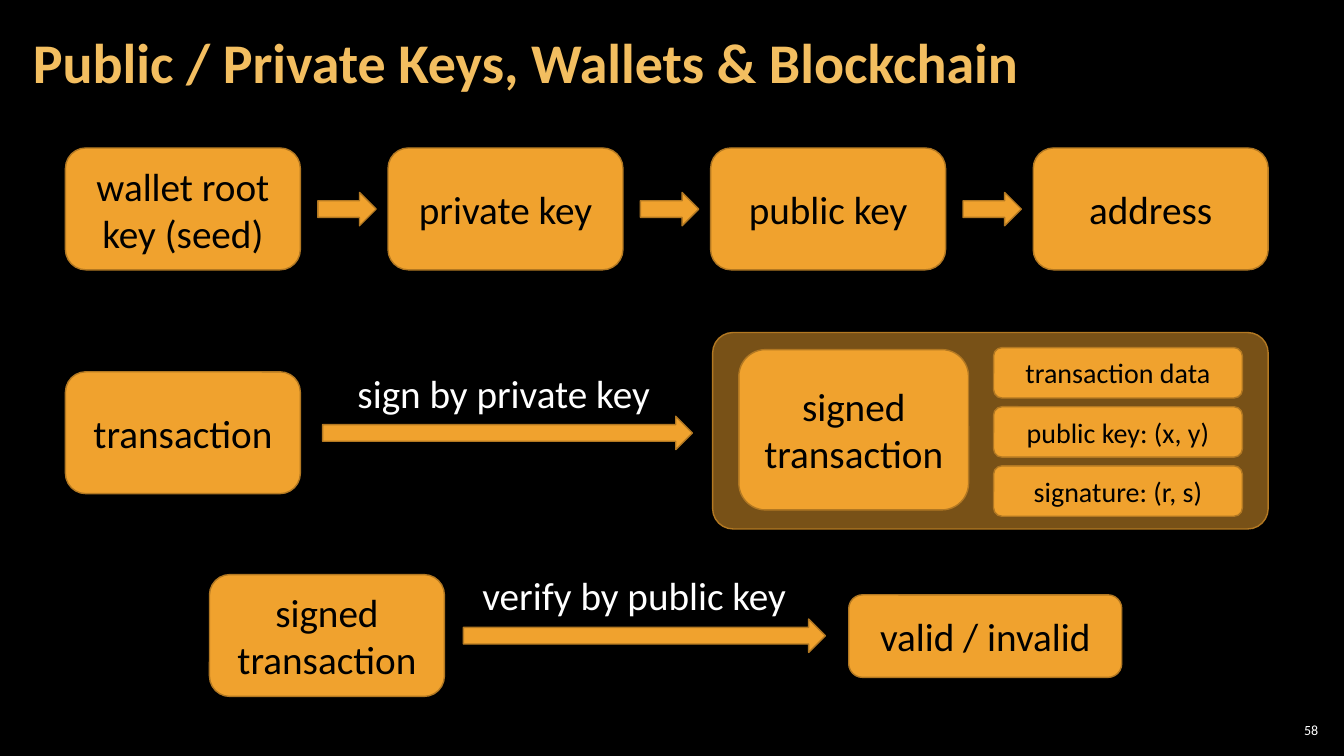
from dataclasses import dataclass

from lxml.etree import SubElement
from pptx import Presentation
from pptx.dml.color import RGBColor
from pptx.enum.shapes import MSO_SHAPE
from pptx.enum.text import MSO_ANCHOR, MSO_AUTO_SIZE, PP_ALIGN
from pptx.oxml.ns import qn
from pptx.util import Cm, Pt


@dataclass(frozen=True)
class Theme:
    font: str = "Calibri"
    background: RGBColor = RGBColor(0x00, 0x00, 0x00)
    title: RGBColor = RGBColor(0xF3, 0xBE, 0x60)
    fill: RGBColor = RGBColor(0xF0, 0xA2, 0x2E)
    outline: RGBColor = RGBColor(0xB2, 0x78, 0x22)
    box_text: RGBColor = RGBColor(0x00, 0x00, 0x00)
    light_text: RGBColor = RGBColor(0xFF, 0xFF, 0xFF)
    title_size: int = 40
    body_size: int = 28
    detail_size: int = 20
    number_size: int = 10


THEME = Theme()
BOX_SIZE = (5.92, 3.07)
ARROW_HEIGHT = 0.84
KEY_CHAIN = ("wallet root key (seed)", "private key", "public key", "address")
KEY_PITCH = 8.13
SIGNED_PARTS = ("transaction data", "public key: (x, y)", "signature: (r, s)")


def write_text(shape, text, size, color, alignment=PP_ALIGN.LEFT, bold=False):
    paragraph = shape.text_frame.paragraphs[0]
    paragraph.alignment = alignment
    run = paragraph.add_run()
    run.text = text
    run.font.name = THEME.font
    run.font.size = Pt(size)
    run.font.bold = bold
    run.font.color.rgb = color
    return paragraph


def set_margins(text_frame, horizontal, vertical):
    text_frame.margin_left = text_frame.margin_right = Cm(horizontal)
    text_frame.margin_top = text_frame.margin_bottom = Cm(vertical)


def add_filled_shape(shapes, kind, left, top, width, height):
    shape = shapes.add_shape(kind, Cm(left), Cm(top), Cm(width), Cm(height))
    shape.shadow.inherit = False
    shape.fill.solid()
    shape.fill.fore_color.rgb = THEME.fill
    shape.line.color.rgb = THEME.outline
    shape.line.width = Pt(1)
    return shape


def add_box(shapes, text, left, top, width, height, size=THEME.body_size):
    shape = add_filled_shape(shapes, MSO_SHAPE.ROUNDED_RECTANGLE, left, top, width, height)
    shape.text_frame.word_wrap = True
    shape.text_frame.vertical_anchor = MSO_ANCHOR.MIDDLE
    write_text(shape, text, size, THEME.box_text, PP_ALIGN.CENTER)


def add_arrow(shapes, left, top, width):
    add_filled_shape(shapes, MSO_SHAPE.RIGHT_ARROW, left, top, width, ARROW_HEIGHT)


def add_labelled_arrow(slide, text, arrow_place, label_place):
    shapes = slide.shapes.add_group_shape().shapes
    add_arrow(shapes, *arrow_place)
    label = shapes.add_textbox(*map(Cm, label_place))
    label.text_frame.word_wrap = False
    label.text_frame.auto_size = MSO_AUTO_SIZE.SHAPE_TO_FIT_TEXT
    write_text(label, text, THEME.body_size, THEME.light_text)


def add_signed_panel(slide):
    shapes = slide.shapes.add_group_shape().shapes
    panel = add_filled_shape(shapes, MSO_SHAPE.ROUNDED_RECTANGLE, 17.96, 8.38, 14, 4.95)
    panel.adjustments[0] = 0.104
    color = panel.fill._xPr.find(qn("a:solidFill"))[0]
    SubElement(color, qn("a:alpha"), val="50000")
    add_box(shapes, "signed transaction", 18.62, 8.81, 5.79, 4.04)
    for index, part in enumerate(SIGNED_PARTS):
        add_box(shapes, part, 25.04, 8.76 + index * 1.49, 6.27, 1.27, THEME.detail_size)


def add_key_chain(slide):
    for index, key in enumerate(KEY_CHAIN):
        offset = index * KEY_PITCH
        add_box(slide.shapes, key, 1.65 + offset, 3.73, *BOX_SIZE)
        if index < len(KEY_CHAIN) - 1:
            add_arrow(slide.shapes, 8.01 + offset, 4.85, 1.47)


def set_title(slide, text):
    title = slide.shapes.title
    title.left, title.top, title.width, title.height = map(Cm, (0.53, 0.1, 26.59, 3.07))
    title.text_frame.word_wrap = True
    title.text_frame.auto_size = MSO_AUTO_SIZE.NONE
    title.text_frame.vertical_anchor = MSO_ANCHOR.MIDDLE
    set_margins(title.text_frame, 0.3, 0.1)
    paragraph = write_text(title, text, THEME.title_size, THEME.title, bold=True)
    paragraph.line_spacing = 0.9


def add_slide_number(slide, number):
    box = slide.shapes.add_textbox(Cm(32.13), Cm(18.14), Cm(1.19), Cm(0.53))
    box.text_frame.word_wrap = True
    box.text_frame.vertical_anchor = MSO_ANCHOR.MIDDLE
    set_margins(box.text_frame, 0.1, 0.1)
    write_text(box, number, THEME.number_size, THEME.light_text, PP_ALIGN.RIGHT)


def main():
    presentation = Presentation()
    presentation.slide_width = Cm(33.87)
    presentation.slide_height = Cm(19.05)
    slide = presentation.slides.add_slide(presentation.slide_layouts[5])
    slide.background.fill.solid()
    slide.background.fill.fore_color.rgb = THEME.background

    set_title(slide, "Public / Private Keys, Wallets & Blockchain")
    add_key_chain(slide)

    add_box(slide.shapes, "transaction", 1.65, 9.37, *BOX_SIZE)
    add_labelled_arrow(slide, "sign by private key",
                       (8.13, 10.49, 9.32), (8.76, 9.17, 7.95, 1.45))
    add_signed_panel(slide)

    add_box(slide.shapes, "signed transaction", 5.28, 14.48, *BOX_SIZE)
    add_labelled_arrow(slide, "verify by public key",
                       (11.68, 15.6, 9.12), (11.91, 14.27, 8.26, 1.45))
    add_box(slide.shapes, "valid / invalid", 21.39, 14.99, 6.88, 2.08)

    add_slide_number(slide, "58")
    presentation.save("out.pptx")


if __name__ == "__main__":
    main()
